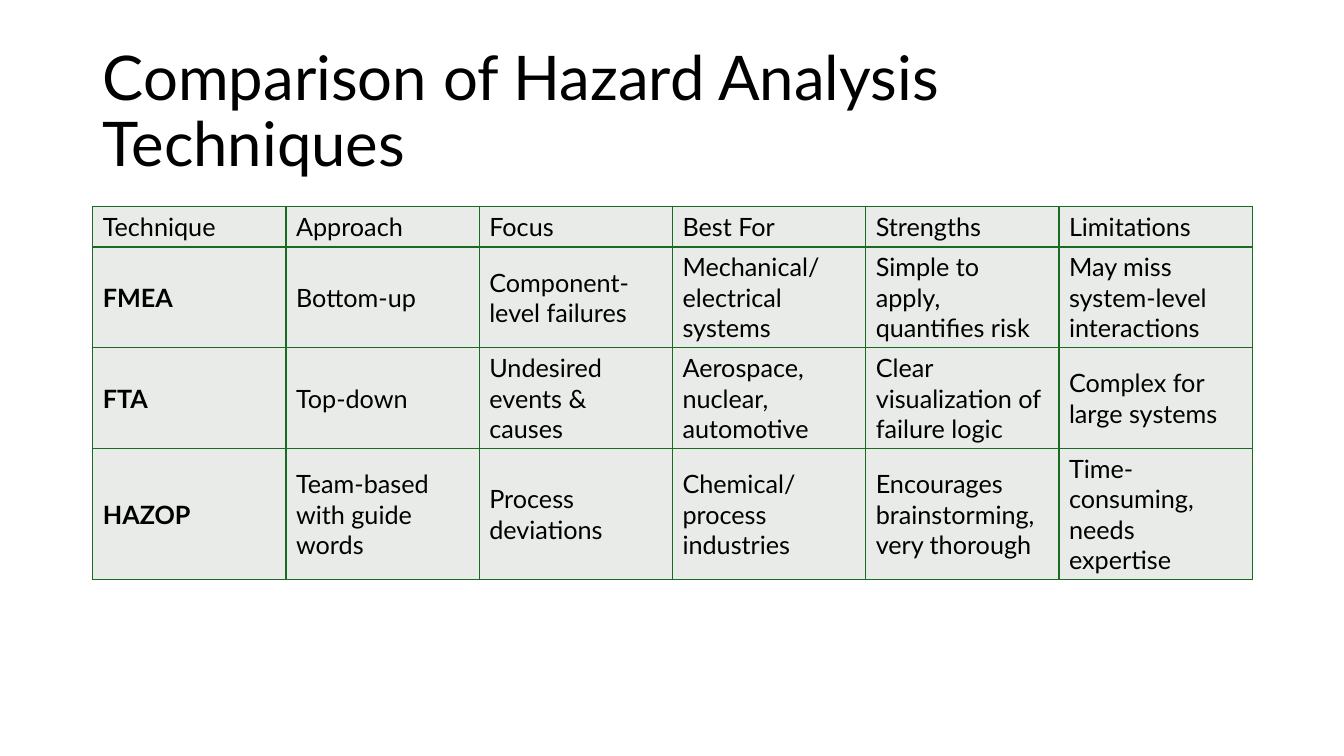
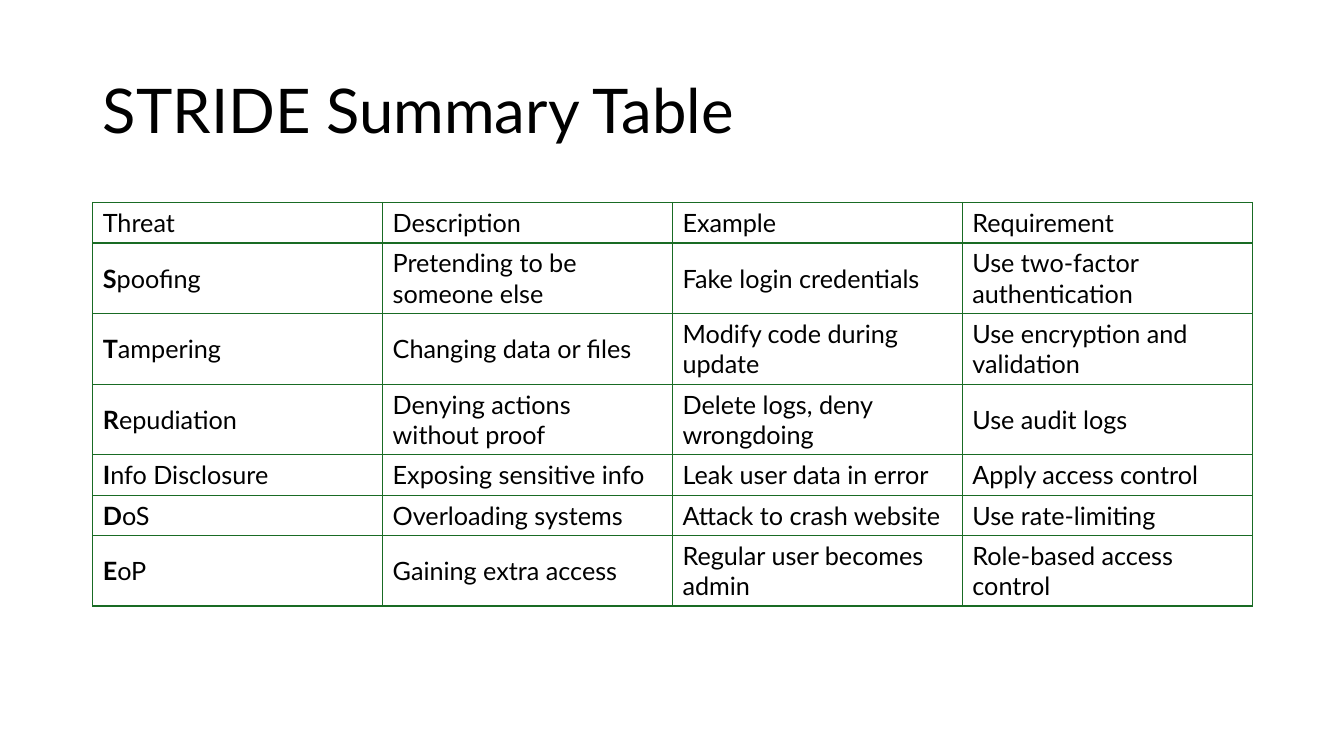
from lxml.etree import SubElement
from pptx import Presentation
from pptx.dml.color import RGBColor
from pptx.enum.text import MSO_ANCHOR, MSO_AUTO_SIZE, PP_ALIGN
from pptx.oxml.ns import qn
from pptx.util import Pt

EMU_PER_PX = 9144
FONT = "Lato"
COLORS = {"text": "000000", "border": "196B24", "shade": "E8EBE8"}
LEFT, WIDTH = 92, 1150
TITLE_TOP, TITLE_HEIGHT = 40, 145
LINE_HEIGHT, CELL_PADDING = 30, 10

HAZARD_ROWS = [
    ["Technique", "Approach", "Focus", "Best For", "Strengths", "Limitations"],
    ["FMEA", "Bottom-up", "Component-level failures", "Mechanical/electrical systems",
     "Simple to apply, quantifies risk", "May miss system-level interactions"],
    ["FTA", "Top-down", "Undesired events & causes", "Aerospace, nuclear, automotive",
     "Clear visualization of failure logic", "Complex for large systems"],
    ["HAZOP", "Team-based with guide words", "Process deviations", "Chemical/process industries",
     "Encourages brainstorming, very thorough", "Time-consuming, needs expertise"],
]
STRIDE_ROWS = [
    ["Threat", "Description", "Example", "Requirement"],
    ["Spoofing", "Pretending to be someone else", "Fake login credentials",
     "Use two-factor authentication"],
    ["Tampering", "Changing data or files", "Modify code during update",
     "Use encryption and validation"],
    ["Repudiation", "Denying actions without proof", "Delete logs, deny wrongdoing",
     "Use audit logs"],
    ["Info Disclosure", "Exposing sensitive info", "Leak user data in error",
     "Apply access control"],
    ["DoS", "Overloading systems", "Attack to crash website", "Use rate-limiting"],
    ["EoP", "Gaining extra access", "Regular user becomes admin", "Role-based access control"],
]


def px(length):
    """Turn px into EMU."""
    return length * EMU_PER_PX


def add_span(para, text, size, bold=False):
    """Add one formatted run to a paragraph."""
    span = para.add_run()
    span.text = text
    span.font.name = FONT
    span.font.size = Pt(size)
    span.font.bold = bold
    span.font.color.rgb = RGBColor.from_string(COLORS["text"])


def add_page(deck, heading):
    """Add a page with its title placed and formatted."""
    page = deck.slides.add_slide(deck.slide_layouts.get_by_name("Title Only"))
    title = page.shapes.title
    title.left, title.top = px(LEFT), px(TITLE_TOP)
    title.width, title.height = px(WIDTH), px(TITLE_HEIGHT)
    frame = title.text_frame
    frame.auto_size = MSO_AUTO_SIZE.NONE
    frame.vertical_anchor = MSO_ANCHOR.MIDDLE
    para = frame.paragraphs[0]
    para.alignment = PP_ALIGN.LEFT
    para.line_spacing = 0.9
    add_span(para, heading, 44)
    return page


def add_borders(cell):
    """Draw a thin line on all four sides of a cell."""
    properties = cell._tc.get_or_add_tcPr()
    for side in ("a:lnL", "a:lnR", "a:lnT", "a:lnB"):
        line = SubElement(properties, qn(side), w=str(Pt(1)))
        fill = SubElement(line, qn("a:solidFill"))
        SubElement(fill, qn("a:srgbClr"), val=COLORS["border"])


def fill_cell(cell, text, bold_count, shade):
    """Format a cell and write its text, with the first letters in bold."""
    cell.vertical_anchor = MSO_ANCHOR.MIDDLE
    add_borders(cell)
    if shade:
        cell.fill.solid()
        cell.fill.fore_color.rgb = RGBColor.from_string(shade)
    else:
        cell.fill.background()
    para = cell.text_frame.paragraphs[0]
    for part, bold in ((text[:bold_count], True), (text[bold_count:], False)):
        if part:
            add_span(para, part, 18, bold)


def add_grid(page, top, rows, line_counts, bold_count, shade=None):
    """Add a table with equal columns and rows sized by their text lines."""
    heights = [CELL_PADDING + LINE_HEIGHT * count for count in line_counts]
    table = page.shapes.add_table(
        len(rows), len(rows[0]), px(LEFT), px(top), px(WIDTH), px(sum(heights))).table
    table.first_row = table.horz_banding = False
    for row_index, (texts, height) in enumerate(zip(rows, heights)):
        table.rows[row_index].height = px(height)
        for column_index, text in enumerate(texts):
            is_lead = row_index > 0 and column_index == 0
            fill_cell(table.cell(row_index, column_index), text,
                      bold_count if is_lead else 0, shade)


def main():
    """Build and save the deck."""
    deck = Presentation()
    deck.slide_width, deck.slide_height = px(1333), px(750)
    page = add_page(deck, "Comparison of Hazard Analysis Techniques")
    add_grid(page, 205, HAZARD_ROWS, [1, 3, 3, 4], bold_count=5, shade=COLORS["shade"])
    page = add_page(deck, "STRIDE Summary Table")
    add_grid(page, 201, STRIDE_ROWS, [1, 2, 2, 2, 1, 1, 2], bold_count=1)
    deck.save("out.pptx")


if __name__ == "__main__":
    main()
